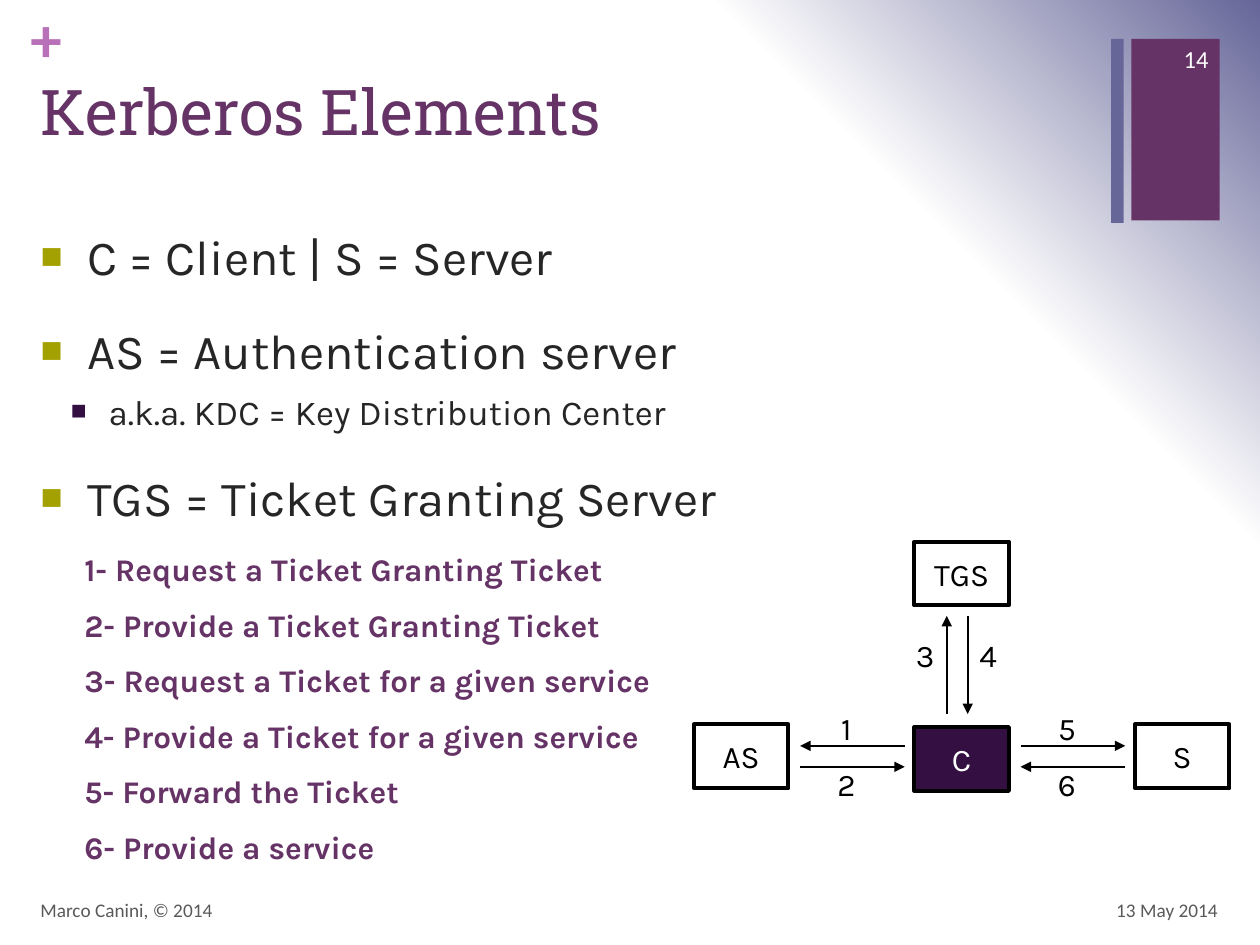
from pptx import Presentation
from pptx.dml.color import RGBColor
from pptx.enum.shapes import MSO_CONNECTOR, MSO_SHAPE
from pptx.enum.text import MSO_ANCHOR as ANCHOR, MSO_AUTO_SIZE, PP_ALIGN as ALIGN
from pptx.oxml import parse_xml
from pptx.oxml.ns import nsdecls, qn
from pptx.oxml.xmlchemy import OxmlElement
from pptx.util import Pt

PURPLE, DARK, BLUE, GREY = "663366", "330F42", "666699", "595959"
BLACK, WHITE = "000000", "FFFFFF"

TITLE = "Kerberos Elements"
ELEMENTS = [
    (0, "C = Client | S = Server"),
    (0, "AS = Authentication server"),
    (1, "a.k.a. KDC = Key Distribution Center"),
    (0, "TGS = Ticket Granting Server"),
]
LEVELS = [
    dict(size=28, before=20, margin=26.6, indent=-26.6, bullet="A3A101"),
    dict(size=20, before=6, margin=38.9, indent=-21.6, bullet=DARK),
]
STEPS = [
    "Request a Ticket Granting Ticket",
    "Provide a Ticket Granting Ticket",
    "Request a Ticket for a given service",
    "Provide a Ticket for a given service",
    "Forward the Ticket",
    "Provide a service",
]
BARS = [((646.5, 22.3, 50.5, 103.7), PURPLE), ((635, 22.3, 7.2, 105.1), BLUE)]
MARGINALS = [
    ("13 May 2014", (535, 505.5, 168, 28.8), 11, GREY, ALIGN.RIGHT),
    ("Marco Canini, © 2014", (16, 505.5, 482, 28.8), 11, GREY, ALIGN.LEFT),
    ("14", (653.8, 19, 43.9, 28.8), 14, WHITE, ALIGN.RIGHT),
]

NODE_WIDTH, NODE_HEIGHT = 54, 36.5
LEFT, TOP, COLUMN_STEP = 396.5, 414, 126
NODES = [
    ("AS", 0, TOP, None, BLACK),
    ("C", 1, TOP + 1.5, DARK, WHITE),
    ("S", 2, TOP, None, BLACK),
    ("TGS", 1, 309.5, None, BLACK),
]
NEAR, FAR = 6.7, 66.5
UPPER, LOWER = 426.2, 438.2
UP_X, DOWN_X, TIP_TOP, TIP_BOTTOM = 541, 553, 352, 408


def color(value):
    return RGBColor.from_string(value)


def place(shape, box):
    shape.left, shape.top, shape.width, shape.height = map(Pt, box)


def write(shape, text, size=18, font="Karla", fill=BLACK, bold=False, align=ALIGN.LEFT,
          anchor=ANCHOR.TOP, inset=None, before=0):
    frame = shape.text_frame
    frame.word_wrap = True
    frame.auto_size = MSO_AUTO_SIZE.NONE
    frame.vertical_anchor = anchor
    if inset is not None:
        frame.margin_left = frame.margin_right = Pt(inset)
        frame.margin_top = frame.margin_bottom = Pt(inset)
    paragraph = frame.add_paragraph() if frame.text else frame.paragraphs[0]
    paragraph.alignment = align
    paragraph.space_before = Pt(before)
    run = paragraph.add_run()
    run.text = text
    run.font.size, run.font.name, run.font.bold = Pt(size), font, bold
    run.font.color.rgb = color(fill)
    return paragraph


def add_text(slide, text, box, **style):
    write(slide.shapes.add_textbox(*map(Pt, box)), text, **style)


def add_box(slide, box, fill=None, line=None):
    shape = slide.shapes.add_shape(MSO_SHAPE.RECTANGLE, *map(Pt, box))
    shape.shadow.inherit = False
    if fill:
        shape.fill.solid()
        shape.fill.fore_color.rgb = color(fill)
    else:
        shape.fill.background()
    if line:
        shape.line.color.rgb = color(line)
        shape.line.width = Pt(2.25)
    else:
        shape.line.fill.background()
    return shape


def add_arrow(slide, start, end):
    arrow = slide.shapes.add_connector(MSO_CONNECTOR.STRAIGHT, *map(Pt, start + end))
    arrow.line.color.rgb = color(BLACK)
    arrow.line.width = Pt(1)
    head = OxmlElement("a:tailEnd")
    head.set("type", "triangle")
    arrow.line._get_or_add_ln().append(head)
    arrow._element.spPr.append(OxmlElement("a:effectLst"))


def add_bullet(paragraph, margin, indent, bullet):
    properties = paragraph._p.get_or_add_pPr()
    properties.set("marL", str(Pt(margin)))
    properties.set("indent", str(Pt(indent)))
    for xml in (f'<a:buClr {nsdecls("a")}><a:srgbClr val="{bullet}"/></a:buClr>',
                f'<a:buSzPct {nsdecls("a")} val="75000"/>',
                f'<a:buChar {nsdecls("a")} char="■"/>'):
        properties.append(parse_xml(xml))


def set_background(slide):
    slide.background.fill.solid()
    holder = slide.element.find(".//" + qn("p:bgPr"))
    stops = "".join(f'<a:gs pos="{position * 1000}"><a:srgbClr val="{value}"/></a:gs>'
                    for position, value in [(0, WHITE), (75, WHITE), (100, BLUE)])
    holder.replace(holder[0], parse_xml(
        f'<a:gradFill {nsdecls("a")} rotWithShape="1"><a:gsLst>{stops}</a:gsLst>'
        '<a:path path="circle"><a:fillToRect t="100000" r="100000"/></a:path></a:gradFill>'))


def add_diagram(slide):
    for name, column, top, fill, ink in NODES:
        box = (LEFT + column * COLUMN_STEP, top, NODE_WIDTH, NODE_HEIGHT)
        write(add_box(slide, box, fill, BLACK), name, fill=ink, align=ALIGN.CENTER,
              anchor=ANCHOR.MIDDLE, inset=0)

    for column, (upper, lower), upper_points_left in [(0, "12", True), (1, "56", False)]:
        edge = LEFT + column * COLUMN_STEP + NODE_WIDTH
        for label, y, label_top, points_left in [
                (upper, UPPER, 401.8, upper_points_left),
                (lower, LOWER, 433.4, not upper_points_left)]:
            ends = [(edge + NEAR, y), (edge + FAR, y)]
            add_arrow(slide, *(reversed(ends) if points_left else ends))
            add_text(slide, label, (edge + 18.2, label_top, 30, 28.8), align=ALIGN.CENTER)

    add_arrow(slide, (UP_X, TIP_BOTTOM), (UP_X, TIP_TOP))
    add_arrow(slide, (DOWN_X, TIP_TOP), (DOWN_X, TIP_BOTTOM))
    for label, left in [("3", 504.7), ("4", 540.7)]:
        add_text(slide, label, (left, 360, 48, 28.8), align=ALIGN.CENTER)


def main():
    presentation = Presentation()
    presentation.slide_width, presentation.slide_height = Pt(720), Pt(540)
    slide = presentation.slides.add_slide(presentation.slide_layouts[1])
    set_background(slide)

    title, body = slide.placeholders
    place(title, (16, 38, 618.5, 88))
    write(title, TITLE, size=36, font="Roboto Slab", fill=PURPLE)
    place(body, (16, 126, 687, 379.5))
    for level, text in ELEMENTS:
        style = LEVELS[level]
        paragraph = write(body, text, size=style["size"], fill="262626", before=style["before"])
        paragraph.level = level
        add_bullet(paragraph, style["margin"], style["indent"], style["bullet"])

    for box, fill in BARS:
        add_box(slide, box, fill)
    add_text(slide, "+", (17.3, 0, 21, 44), size=36, font="Calibri", fill="B870B8",
             bold=True, inset=0)
    for text, box, size, ink, align in MARGINALS:
        add_text(slide, text, box, size=size, font="Calibri", fill=ink, align=align,
                 anchor=ANCHOR.MIDDLE)

    add_diagram(slide)
    for number, step in enumerate(STEPS):
        add_text(slide, f"{number + 1}- {step}", (48.2, 314.6 + number * 31.7, 390, 21.6),
                 fill=PURPLE, bold=True, inset=0)
    presentation.save("out.pptx")


if __name__ == "__main__":
    main()
